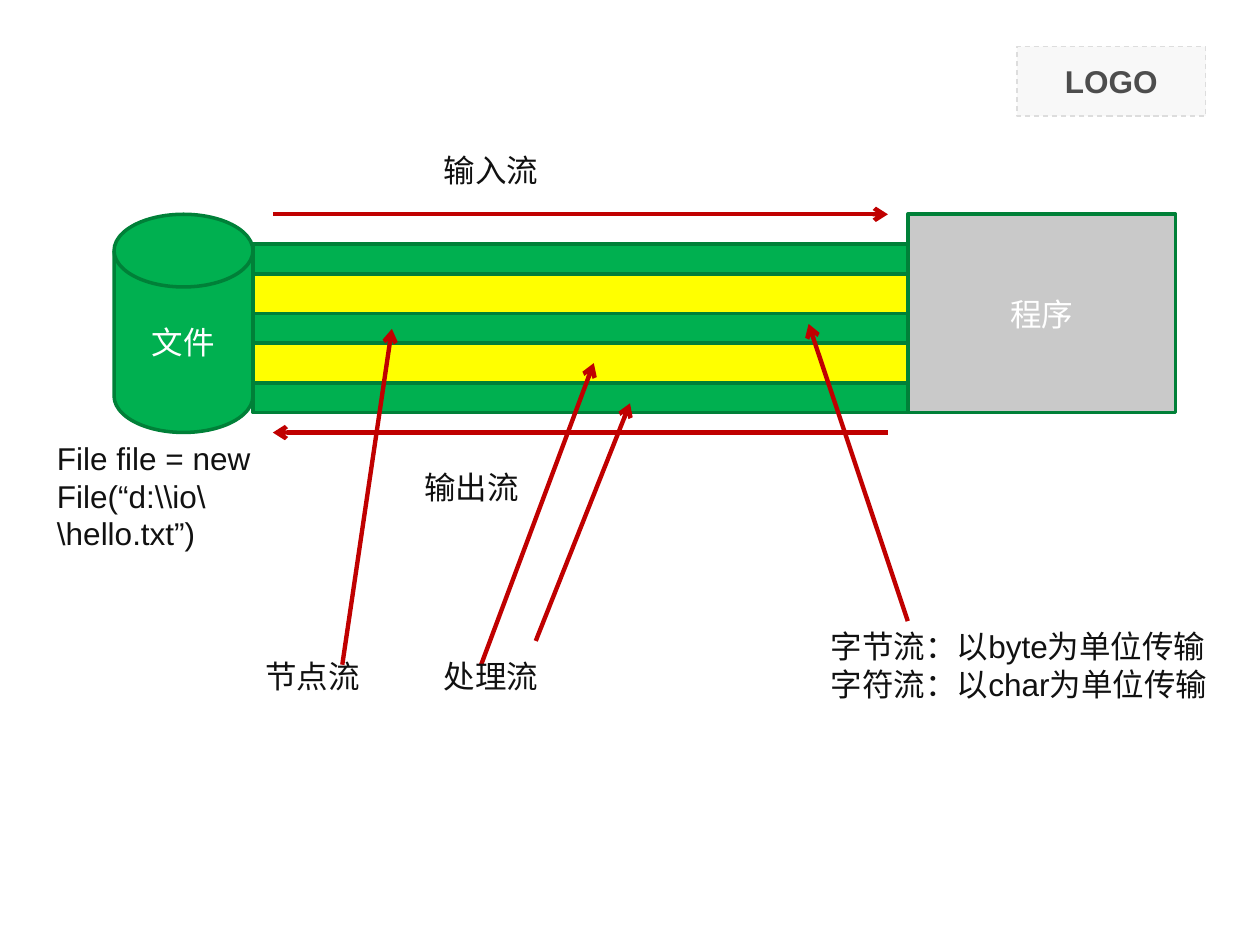
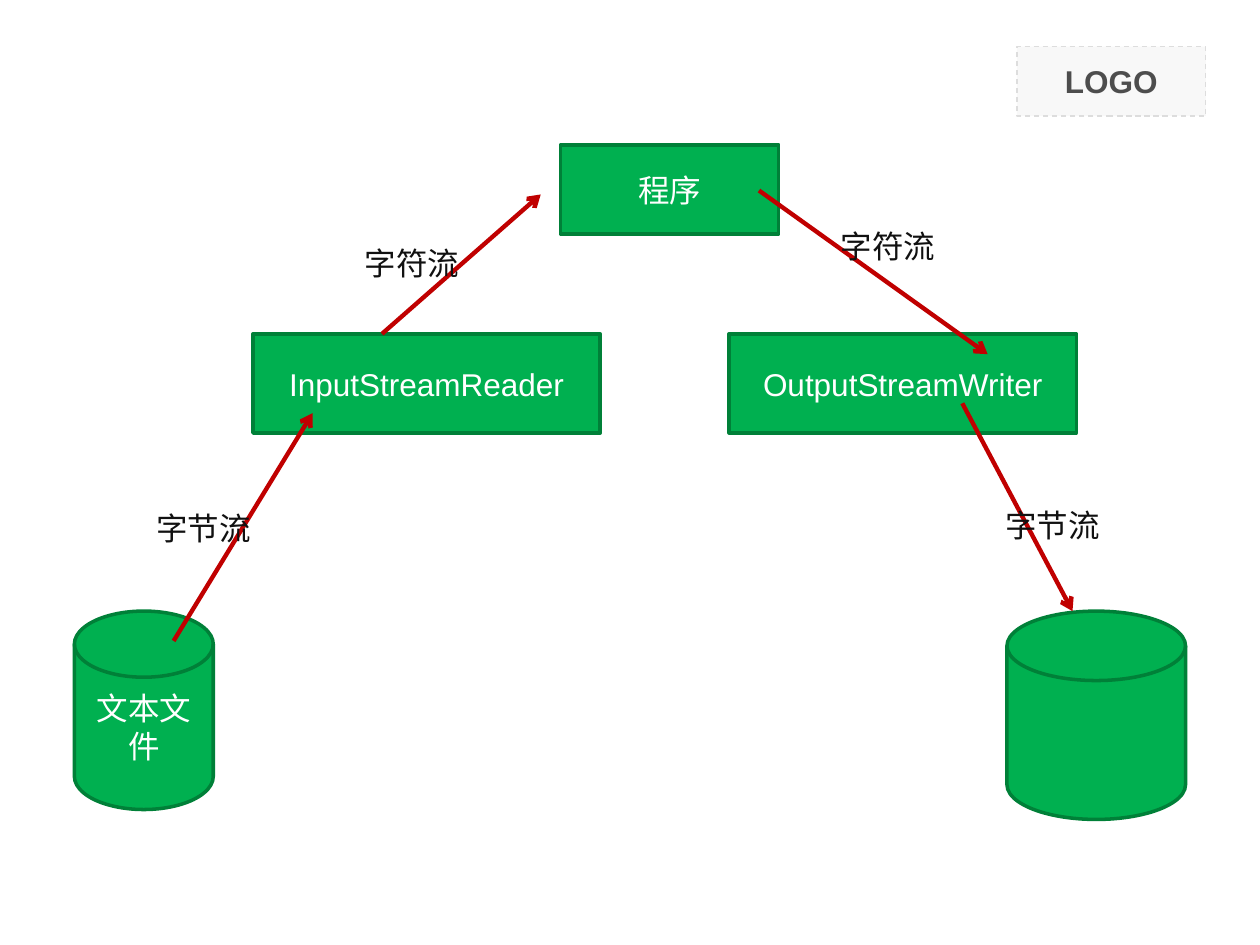
from lxml import etree
from pptx import Presentation
from pptx import util as u
from pptx.dml.color import RGBColor
from pptx.enum import dml, shapes, text
from pptx.oxml import ns

COLORS = {
    "green": "00B050",
    "outline": "008038",
    "yellow": "FFFF00",
    "gray": "C9C9C9",
    "arrow": "C00000",
    "ink": "111111",
    "white": "FFFFFF",
    "logo_fill": "F8F8F8",
    "logo_line": "DDDDDD",
    "logo_text": "4D4D4D",
}
FONT = "Arial"
FONT_SIZE = u.Pt(18)
RECTANGLE = shapes.MSO_SHAPE.RECTANGLE
DISK = shapes.MSO_SHAPE.FLOWCHART_MAGNETIC_DISK


def color(name):
    """Look up a palette colour."""
    return RGBColor.from_string(COLORS[name])


def cm(values):
    """Turn centimetre numbers into lengths."""
    return [u.Cm(value) for value in values]


def write(frame, lines, ink, bold=False, align=text.PP_ALIGN.LEFT):
    """Fill a text frame with one paragraph per line."""
    frame.word_wrap = True
    for index, line in enumerate(lines):
        para = frame.add_paragraph() if index else frame.paragraphs[0]
        para.text = line
        para.alignment = align
        para.font.name = FONT
        para.font.size = FONT_SIZE
        para.font.bold = bold
        para.font.color.rgb = color(ink)


def add_box(page, area, label="", kind=RECTANGLE, fill="green",
            line="outline", width=2, ink="white", bold=False):
    """Draw an outlined shape with an optional centred label."""
    box = page.shapes.add_shape(kind, *cm(area))
    box.shadow.inherit = False
    box.fill.solid()
    box.fill.fore_color.rgb = color(fill)
    box.line.color.rgb = color(line)
    box.line.width = u.Pt(width)
    if label:
        box.text_frame.vertical_anchor = text.MSO_ANCHOR.MIDDLE
        write(box.text_frame, [label], ink, bold, text.PP_ALIGN.CENTER)
    return box


def add_note(page, left, top, width, *lines, height=1.02):
    """Add a plain dark text box."""
    box = page.shapes.add_textbox(*cm((left, top, width, height)))
    box.text_frame.auto_size = text.MSO_AUTO_SIZE.SHAPE_TO_FIT_TEXT
    write(box.text_frame, lines, "ink")


def add_arrow(page, start, end):
    """Draw a red arrow from start to end."""
    arrow = page.shapes.add_connector(
        shapes.MSO_CONNECTOR.STRAIGHT, *cm(start + end))
    arrow.line.color.rgb = color("arrow")
    arrow.line.width = u.Pt(2.5)
    outline = arrow.line._get_or_add_ln()
    etree.SubElement(outline, ns.qn("a:tailEnd"), type="arrow")
    etree.SubElement(arrow._element.spPr, ns.qn("a:effectLst"))


def add_page(deck):
    """Add a blank page with the dashed corner frame."""
    page = deck.slides.add_slide(deck.slide_layouts[6])
    frame = add_box(page, (20.5, 0.94, 3.81, 1.4), "LOGO", fill="logo_fill",
                    line="logo_line", width=0.75, ink="logo_text", bold=True)
    frame.line.dash_style = dml.MSO_LINE.DASH
    return page


def build_pipe_page(deck):
    """Show nested streams between a file and a program."""
    page = add_page(deck)
    pipe_left, pipe_width = 5.1, 13.2
    add_box(page, (pipe_left, 4.92, pipe_width, 3.4))
    add_box(page, (pipe_left, 5.52, pipe_width, 2.2), fill="yellow")
    add_box(page, (pipe_left + pipe_width, 4.32, 5.4, 4), "程序", fill="gray")
    add_box(page, (2.3, 4.32, 2.8, 4.4), "文件", DISK)
    add_box(page, (pipe_left, 6.32, pipe_width, 0.6))

    add_arrow(page, (5.5, 4.32), (17.9, 4.32))
    add_note(page, 8.7, 2.92, 6.6, "输入流")
    add_arrow(page, (17.9, 8.72), (5.5, 8.72))
    add_note(page, 8.3, 9.32, 5, "输出流")
    add_arrow(page, (18.3, 12.52), (16.3, 6.53))
    add_note(page, 16.5, 12.52, 8.9,
             "字节流：以byte为单位传输", "字符流：以char为单位传输", height=1.78)
    add_note(page, 0.9, 8.72, 5.2,
             r"File file = new File(“d:\\io\\hello.txt”)", height=2.54)
    add_arrow(page, (6.9, 13.4), (7.9, 6.63))
    add_note(page, 5.1, 13.13, 2.8, "节点流")
    add_arrow(page, (9.7, 13.4), (11.97, 7.32))
    add_note(page, 8.7, 13.13, 3.3, "处理流")
    add_arrow(page, (10.8, 12.92), (12.7, 8.13))


def build_conversion_page(deck):
    """Show byte streams converted to character streams and back."""
    page = add_page(deck)
    disk_top, converter_top = 12.32, 6.73
    add_box(page, (1.5, disk_top, 2.8, 4), "文本文件", DISK)
    add_box(page, (20.3, disk_top, 3.6, 4.2), kind=DISK)
    add_box(page, (11.3, 2.92, 4.4, 1.8), "程序")
    for left, name in ((5.1, "InputStreamReader"), (14.7, "OutputStreamWriter")):
        add_box(page, (left, converter_top, 7, 2), name)

    for start, end in (
        ((3.5, 12.92), (6.3, 8.33)),
        ((7.7, converter_top), (10.9, 3.92)),
        ((15.3, 3.84), (19.91, 7.14)),
        ((19.4, 8.13), (21.62, disk_top)),
    ):
        add_arrow(page, start, end)

    for left, top, width, label in (
        (2.9, 10.13, 3.4, "字节流"),
        (7.1, 4.8, 3.8, "字符流"),
        (16.7, 4.45, 4.2, "字符流"),
        (20.02, 10.08, 3.2, "字节流"),
    ):
        add_note(page, left, top, width, label)


def main():
    """Build and save the deck."""
    deck = Presentation()
    deck.slide_width, deck.slide_height = cm((25.4, 19.05))
    build_pipe_page(deck)
    build_conversion_page(deck)
    deck.save("out.pptx")


if __name__ == "__main__":
    main()
